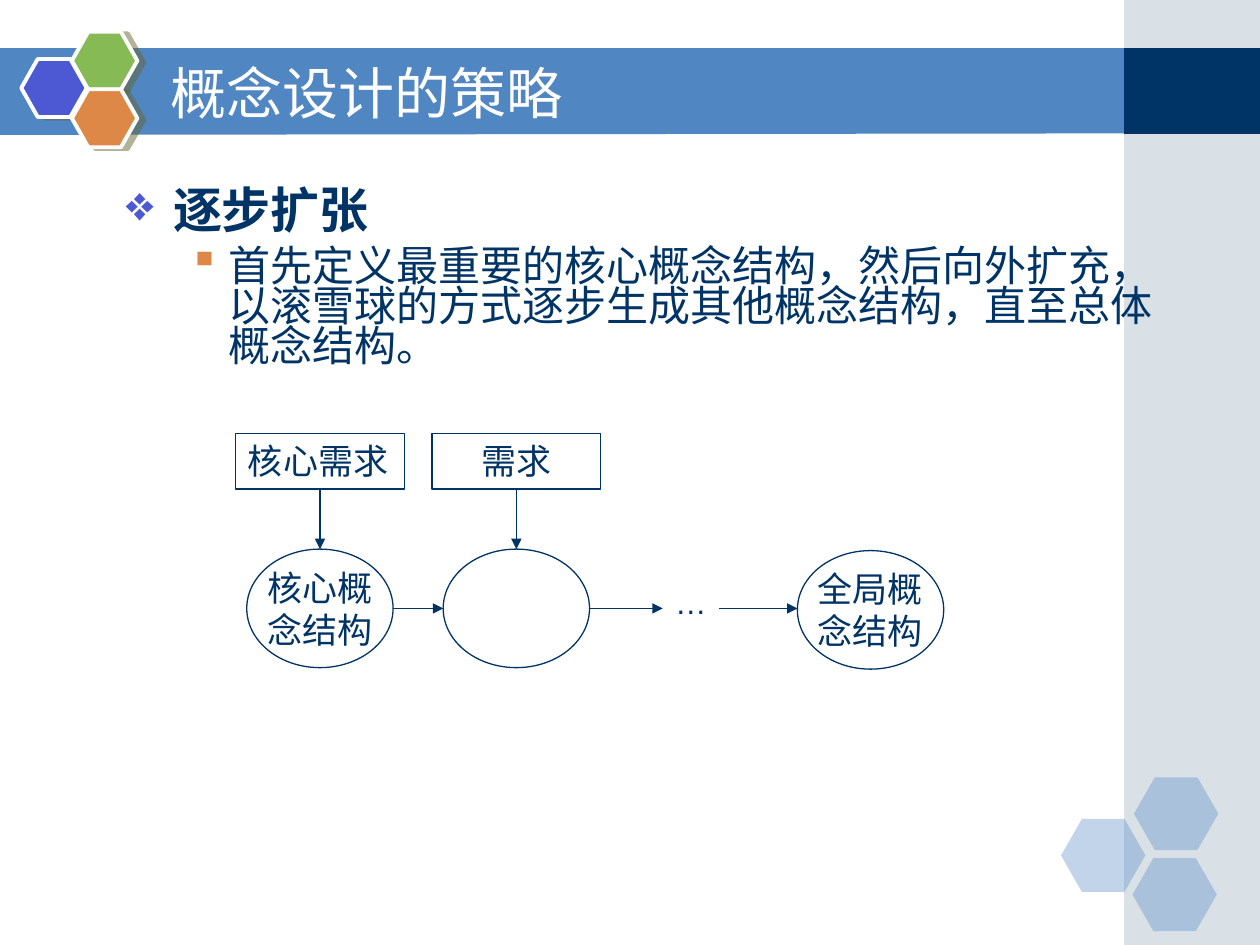
from lxml.etree import SubElement
from pptx import Presentation
from pptx.dml.color import RGBColor
from pptx.enum.shapes import MSO_CONNECTOR, MSO_SHAPE
from pptx.enum.text import MSO_ANCHOR, PP_ALIGN
from pptx.oxml.ns import qn
from pptx.util import Cm, Pt

# Content
TITLE = "概念设计的策略"
HEADING = "逐步扩张"
DETAIL = ("首先定义最重要的核心概念结构，然后向外扩充，"
          "以滚雪球的方式逐步生成其他概念结构，直至总体概念结构。")
NAVY, BLUE, WHITE = "003366", "5086C2", "FFFFFF"
VIOLET, GREEN, ORANGE = "4C59D2", "85BA54", "DE8848"

# Lengths in cm: (centre x, text, alignment) and (centre x, top, lines)
REQUIREMENTS = [(6.45, "核心需求", PP_ALIGN.LEFT), (10.41, "需求", PP_ALIGN.CENTER)]
CONCEPTS = [(6.45, 11.07, ["核心概", "念结构"]), (10.41, 11.07, []),
            (17.55, 11.1, ["全局概", "念结构"])]
EMBLEM = [(0.43, 1.19, VIOLET), (1.45, 0.64, GREEN), (1.45, 1.8, ORANGE)]
CORNER = [(21.39, 16.51), (22.86, 15.67), (22.83, 17.3)]
BOX_TOP, BOX_W, BOX_H = 8.74, 3.4, 1.12
OVAL_TOP, OVAL_W, OVAL_H = 11.07, 2.95, 2.39
DOTS_LEFT, DOTS_W = 13.36, 1.14

prs = Presentation()
prs.slide_width, prs.slide_height = Cm(25.4), Cm(19.05)
slide = prs.slides.add_slide(prs.slide_layouts[5])
shapes = slide.shapes


def color(hex_string):
    return RGBColor.from_string(hex_string)


def paint(shape, fill=None, line=None, line_width=0.75, alpha=None):
    shape.shadow.inherit = False
    if fill:
        shape.fill.solid()
        shape.fill.fore_color.rgb = color(fill)
        if alpha:
            rgb = shape.element.spPr.find(qn("a:solidFill"))[0]
            SubElement(rgb, qn("a:alpha"), val=str(alpha * 1000))
    else:
        shape.fill.background()
    if line:
        shape.line.color.rgb = color(line)
        shape.line.width = Pt(line_width)
    else:
        shape.line.fill.background()
    return shape


def add_preset(preset, left, top, width, height, **look):
    shape = shapes.add_shape(preset, Cm(left), Cm(top), Cm(width), Cm(height))
    return paint(shape, **look)


def write(frame, lines, size=20, font="Arial", ink=NAVY, bold=False,
          align=PP_ALIGN.LEFT, anchor=MSO_ANCHOR.TOP, wrap=True):
    frame.word_wrap = wrap
    frame.vertical_anchor = anchor
    for i, line in enumerate(lines):
        paragraph = frame.paragraphs[0] if i == 0 else frame.add_paragraph()
        paragraph.alignment = align
        run = paragraph.add_run()
        run.text = line
        run.font.size, run.font.name, run.font.bold = Pt(size), font, bold
        run.font.color.rgb = color(ink)


def set_bullet(paragraph, mark, ink, margin, hanging, before):
    paragraph.line_spacing = 0.8
    paragraph.space_before = Pt(before)
    props = paragraph._p.get_or_add_pPr()
    props.set("marL", str(Cm(margin)))
    props.set("indent", str(-Cm(hanging)))
    SubElement(SubElement(props, qn("a:buClr")), qn("a:srgbClr"), val=ink)
    SubElement(props, qn("a:buChar"), char=mark)


def add_arrow(x1, y1, x2, y2):
    arrow = shapes.add_connector(MSO_CONNECTOR.STRAIGHT, Cm(x1), Cm(y1), Cm(x2), Cm(y2))
    arrow.line.color.rgb = color(NAVY)
    arrow.line.width = Pt(0.75)
    SubElement(arrow.element.spPr.find(qn("a:ln")), qn("a:tailEnd"), type="triangle")
    SubElement(arrow.element.spPr, qn("a:effectLst"))


# Title band and side panel
outline = shapes.build_freeform(Cm(-0.03), Cm(0.97))
outline.add_line_segments([(Cm(22.73), Cm(0.97)), (Cm(22.73), Cm(2.69)),
                           (Cm(-0.03), Cm(2.72))], close=True)
paint(outline.convert_to_shape(), fill=BLUE)
add_preset(MSO_SHAPE.RECTANGLE, 22.66, 0, 2.74, 19.05, fill="A0B5C4", alpha=40)
add_preset(MSO_SHAPE.RECTANGLE, 22.66, 0.97, 2.74, 1.73, fill=NAVY)

# Hexagon clusters
for left, top in CORNER:
    hexagon = add_preset(MSO_SHAPE.HEXAGON, left, top, 1.7, 1.47, fill=BLUE, alpha=35)
    hexagon.adjustments[0] = 0.286
for left, top, fill in EMBLEM:
    hexagon = add_preset(MSO_SHAPE.HEXAGON, left, top, 1.32, 1.17,
                         fill=fill, line=WHITE, line_width=2.25)
    hexagon.adjustments[0] = 0.283
    shadow = SubElement(hexagon.element.spPr.find(qn("a:effectLst")), qn("a:outerShdw"),
                        dist=str(Pt(4.1)), dir=str(14 * 60000), rotWithShape="0")
    shade = SubElement(shadow, qn("a:srgbClr"), val="666633")
    SubElement(shade, qn("a:alpha"), val="50000")

# Title, brought in front of the band
title = shapes.title
title.left, title.top, title.width, title.height = Cm(3.18), Cm(1.07), Cm(18.62), Cm(1.57)
write(title.text_frame, [TITLE], size=32, font="DejaVu Sans", ink=WHITE,
      anchor=MSO_ANCHOR.MIDDLE)
title.element.getparent().append(title.element)

# Bulleted text
body = shapes.add_textbox(Cm(2.29), Cm(3.73), Cm(21.59), Cm(4.14)).text_frame
write(body, [HEADING, DETAIL], size=24)
heading, detail = body.paragraphs
heading_font = heading.runs[0].font
heading_font.size, heading_font.name, heading_font.bold = Pt(28), "DejaVu Sans", True
set_bullet(heading, "❖", VIOLET, margin=0.95, hanging=0.95, before=7)
detail.level = 1
set_bullet(detail, "▪", ORANGE, margin=2.06, hanging=0.79, before=6)

# Requirements, each feeding the concept below it
for center, label, align in REQUIREMENTS:
    box = add_preset(MSO_SHAPE.RECTANGLE, center - BOX_W / 2, BOX_TOP, BOX_W, BOX_H, line=NAVY)
    write(box.text_frame, [label], align=align)
    add_arrow(center, BOX_TOP + BOX_H, center, OVAL_TOP)

# Concept structures
for center, top, lines in CONCEPTS:
    oval = add_preset(MSO_SHAPE.FLOWCHART_CONNECTOR, center - OVAL_W / 2, top,
                      OVAL_W, OVAL_H, line=NAVY)
    write(oval.text_frame, lines, align=PP_ALIGN.CENTER, anchor=MSO_ANCHOR.MIDDLE, wrap=False)
dots = shapes.add_textbox(Cm(DOTS_LEFT), Cm(11.63), Cm(DOTS_W), Cm(1.02))
write(dots.text_frame, ["…"], size=18)

# Arrows along the row
first, second, last = [center for center, _, _ in CONCEPTS]
axis = OVAL_TOP + OVAL_H / 2
for start, end in [(first + OVAL_W / 2, second - OVAL_W / 2),
                   (second + OVAL_W / 2, DOTS_LEFT),
                   (DOTS_LEFT + DOTS_W, last - OVAL_W / 2)]:
    add_arrow(start, axis, end, axis)

prs.save("out.pptx")
